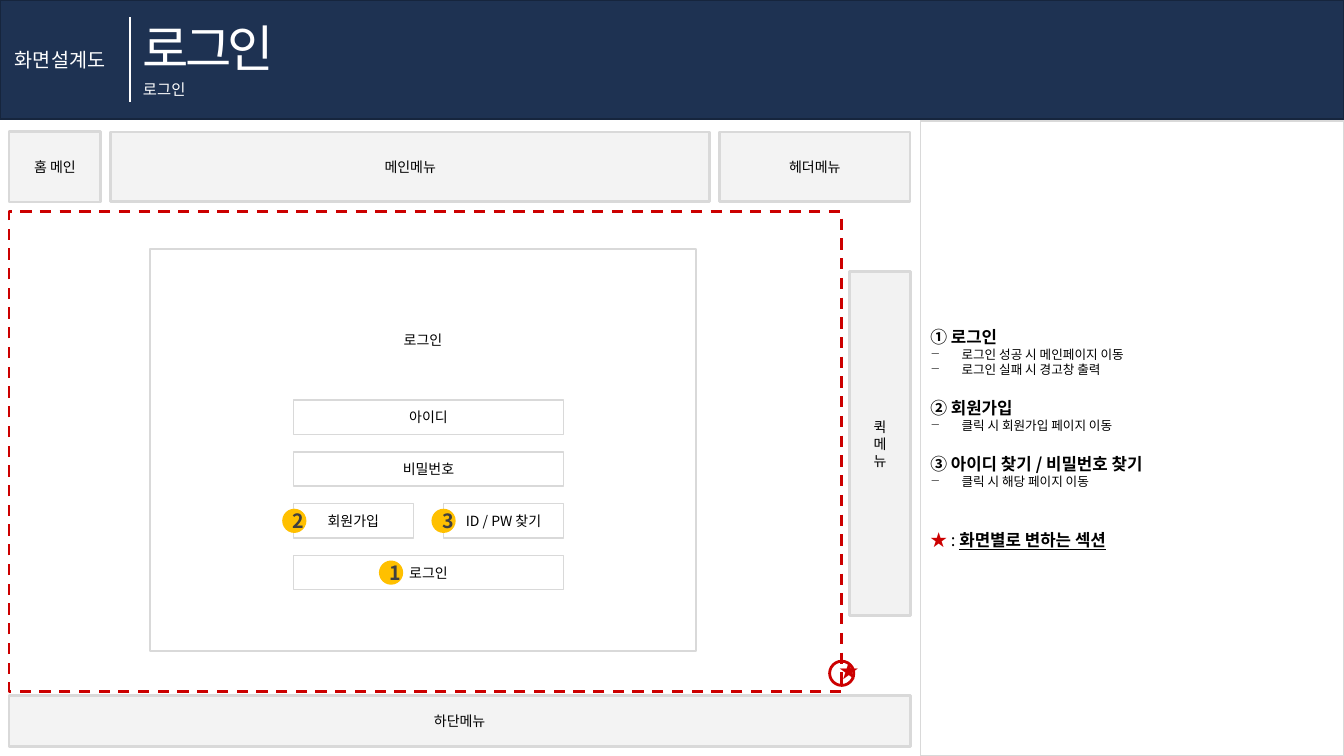
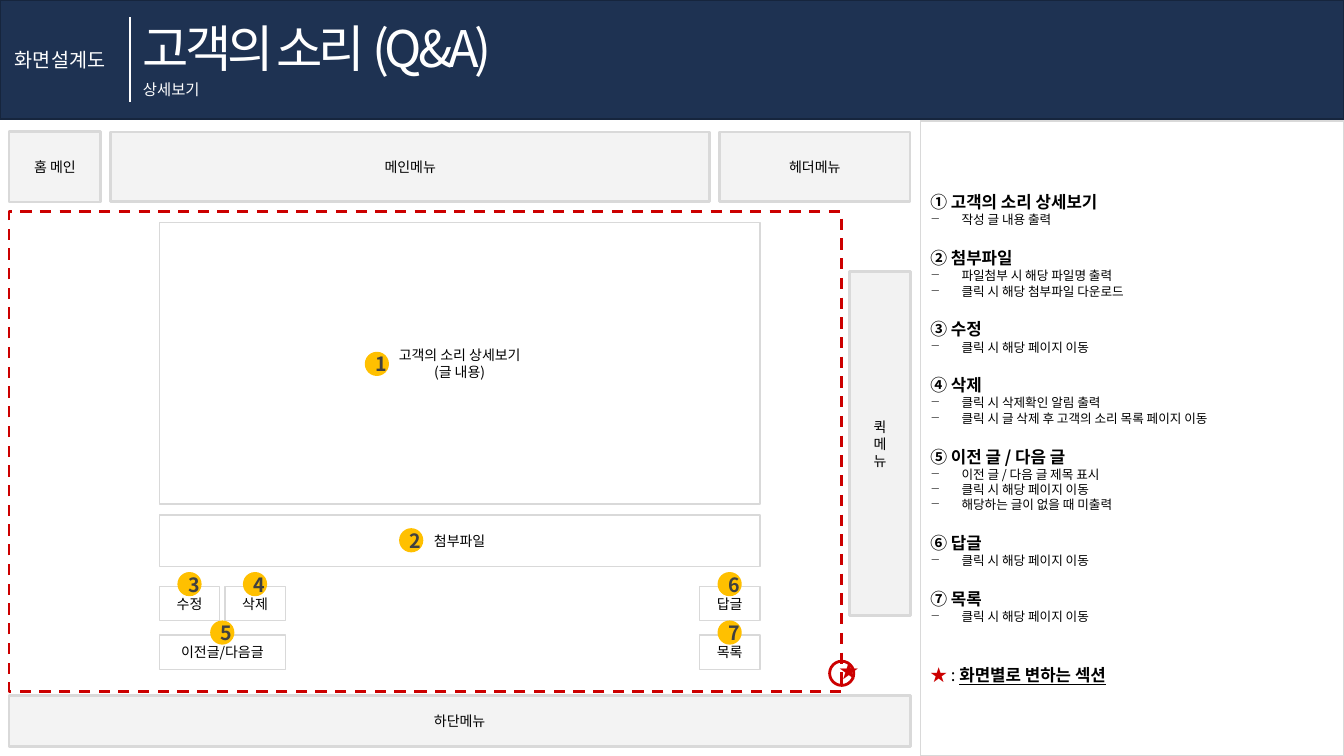
"""Build two wireframe slides: the login screen and the Q&A detail screen."""
from dataclasses import dataclass
from typing import Any, Optional

from lxml import etree
from pptx import Presentation
from pptx.dml.color import RGBColor
from pptx.enum.dml import MSO_LINE
from pptx.enum.shapes import MSO_CONNECTOR, MSO_SHAPE
from pptx.enum.text import MSO_ANCHOR, PP_ALIGN
from pptx.oxml.ns import qn
from pptx.util import Pt

RECTANGLE, ELLIPSE = MSO_SHAPE.RECTANGLE, MSO_SHAPE.OVAL
STRAIGHT, DASH = MSO_CONNECTOR.STRAIGHT, MSO_LINE.DASH
LEFT, CENTER, MIDDLE = PP_ALIGN.LEFT, PP_ALIGN.CENTER, MSO_ANCHOR.MIDDLE

NAVY, NAVY_EDGE = RGBColor(0x1E, 0x32, 0x52), RGBColor(0x16, 0x25, 0x3D)
WHITE, BLACK = RGBColor(0xFF, 0xFF, 0xFF), RGBColor(0, 0, 0)
SILVER, GREY = RGBColor(0xD9, 0xD9, 0xD9), RGBColor(0xBF, 0xBF, 0xBF)
CHARCOAL, AMBER = RGBColor(0x40, 0x40, 0x40), RGBColor(0xFF, 0xC0, 0x00)
RED = RGBColor(0xCC, 0, 0)

KOREAN, LATIN = "Noto Sans CJK KR", "Arial"
LINE_HEIGHT = 1.21
WIDTH, HEIGHT, HEADER_HEIGHT = 960, 540, 85
BADGE_SIZE = 17.3
NOTE_INDENT = 22.3
NOTE_GAP = 14.5

FIELD_LEFT, FIELD_TOP, FIELD_STEP = 209.5, 285.8, 37
FIELD_WIDTH, FIELD_HEIGHT, HALF_WIDTH = 193, 24.5, 85.7
FIELD_RIGHT_HALF = FIELD_LEFT + FIELD_WIDTH - HALF_WIDTH

POST_LEFT, POST_WIDTH = 113.8, 429
BUTTON_WIDTH, BUTTON_TOPS = 43.2, (419, 453.6)
BUTTON_RIGHT = POST_LEFT + POST_WIDTH - BUTTON_WIDTH


@dataclass(frozen=True)
class Area:
    left: float
    top: float
    width: float
    height: float


@dataclass(frozen=True)
class Look:
    fill: Optional[RGBColor] = WHITE
    line: Optional[RGBColor] = SILVER
    weight: float = 1
    opacity: int = 100


@dataclass(frozen=True)
class Panel:
    area: Area
    text: str
    look: Look = Look()
    badge: str = ""
    badge_left: float = 0
    badge_top: float = 0
    bottom_margin: float = 3.6


@dataclass(frozen=True)
class Note:
    heading: str
    items: tuple[str, ...]


@dataclass(frozen=True)
class Screen:
    title: str
    subtitle: str
    panels: tuple[Panel, ...]
    notes: tuple[Note, ...]


MENU = Look(SILVER, SILVER, 2, 30)
FRAME = (
    Panel(Area(79.2, 94.3, 427.7, 49.7), "메인메뉴", MENU),
    Panel(Area(6.5, 94, 65.5, 50.4), "홈 메인", MENU),
    Panel(Area(514, 94.3, 136, 49.7), "헤더메뉴", MENU),
    Panel(Area(607, 193.7, 43.2, 246.2), "퀵\n메\n뉴", Look(GREY, SILVER, 2, 20)),
    Panel(Area(6.5, 496.8, 643.7, 36.7), "하단메뉴", MENU),
)
SECTION = Area(6.5, 151.2, 594.7, 342.7)
NOTES = Area(657.4, 86.4, WIDTH - 657.4, HEIGHT - 86.4)
MARK = Area(592.6, 472.3, BADGE_SIZE, BADGE_SIZE)


def field(row: int, text: str, left: float = FIELD_LEFT, width: float = FIELD_WIDTH,
          badge: str = "", badge_left: float = -7.9) -> Panel:
    area = Area(left, FIELD_TOP + row * FIELD_STEP, width, FIELD_HEIGHT)
    return Panel(area, text, badge=badge, badge_left=badge_left, badge_top=3.6)


def button(row: int, text: str, badge: str, left: float, width: float = BUTTON_WIDTH) -> Panel:
    area = Area(left, BUTTON_TOPS[row], width, FIELD_HEIGHT)
    return Panel(area, text, badge=badge, badge_left=(width - BADGE_SIZE) / 2, badge_top=-10.4)


MOVE = "클릭 시 해당 페이지 이동"
SCREENS = (
    Screen(
        "로그인", "로그인",
        (
            Panel(Area(107, 177.8, 390.2, 287.3), "로그인", bottom_margin=161.5),
            field(0, "아이디"),
            field(1, "비밀번호"),
            field(2, "회원가입", width=HALF_WIDTH, badge="2"),
            field(2, "ID / PW 찾기", FIELD_RIGHT_HALF, HALF_WIDTH, "3", -8.6),
            field(3, "로그인", badge="1", badge_left=61.2),
        ),
        (
            Note("① 로그인", ("로그인 성공 시 메인페이지 이동", "로그인 실패 시 경고창 출력")),
            Note("② 회원가입", ("클릭 시 회원가입 페이지 이동",)),
            Note("③ 아이디 찾기 / 비밀번호 찾기", (MOVE,)),
        ),
    ),
    Screen(
        "고객의 소리 (Q&A)", "상세보기",
        (
            Panel(Area(POST_LEFT, 159.1, POST_WIDTH, 200.9), "고객의 소리 상세보기\n(글 내용)",
                  badge="1", badge_left=146.8, badge_top=92.2),
            Panel(Area(POST_LEFT, 367.9, POST_WIDTH, 36.7), "첨부파일",
                  badge="2", badge_left=171.3, badge_top=9.4),
            button(0, "수정", "3", POST_LEFT),
            button(0, "삭제", "4", POST_LEFT + 46.8),
            button(1, "이전글/다음글", "5", POST_LEFT, 90),
            button(1, "목록", "7", BUTTON_RIGHT),
            button(0, "답글", "6", BUTTON_RIGHT),
        ),
        (
            Note("① 고객의 소리 상세보기", ("작성 글 내용 출력",)),
            Note("② 첨부파일", ("파일첨부 시 해당 파일명 출력", "클릭 시 해당 첨부파일 다운로드")),
            Note("③ 수정", (MOVE,)),
            Note("④ 삭제", ("클릭 시 삭제확인 알림 출력",
                          "클릭 시 글 삭제 후 고객의 소리 목록 페이지 이동")),
            Note("⑤ 이전 글 / 다음 글", ("이전 글 / 다음 글 제목 표시", MOVE,
                                   "해당하는 글이 없을 때 미출력")),
            Note("⑥ 답글", (MOVE,)),
            Note("⑦ 목록", (MOVE,)),
        ),
    ),
)


def set_values(target: Any, values: dict[str, Any]) -> None:
    for name, value in values.items():
        setattr(target, name, value)


def bounds(area: Area) -> tuple[Pt, Pt, Pt, Pt]:
    return Pt(area.left), Pt(area.top), Pt(area.width), Pt(area.height)


def add_span(para: Any, text: str, size: float, color: RGBColor = BLACK,
             font: str = KOREAN, spacing: float = 0, **values: Any) -> None:
    span = para.add_run()
    span.text = text
    set_values(span.font, {"size": Pt(size), "name": font, **values})
    span.font.color.rgb = color
    properties = span._r.get_or_add_rPr()
    etree.SubElement(properties, qn("a:ea")).set("typeface", KOREAN)
    if spacing:
        properties.set("spc", str(round(spacing * 100)))


def add_para(frame: Any, size: float, align: Any = LEFT, before: float = 0) -> Any:
    first = frame.paragraphs[0]
    para = frame.add_paragraph() if first.runs else first
    set_values(para, {"alignment": align, "line_spacing": Pt(round(size * LINE_HEIGHT, 1)),
                      "space_before": Pt(before)})
    return para


def add_box(page: Any, area: Area, look: Look, kind: Any = RECTANGLE) -> Any:
    box = page.shapes.add_shape(kind, *bounds(area))
    box.shadow.inherit = False
    if look.fill is None:
        box.fill.background()
    else:
        box.fill.solid()
        box.fill.fore_color.rgb = look.fill
        if look.opacity < 100:
            color = box._element.spPr.find(qn("a:solidFill"))[0]
            etree.SubElement(color, qn("a:alpha")).set("val", str(look.opacity * 1000))
    if look.line is None:
        box.line.fill.background()
    else:
        box.line.color.rgb = look.line
        box.line.width = Pt(look.weight)
    set_values(box.text_frame, {"word_wrap": True, "vertical_anchor": MIDDLE})
    return box


def add_label(page: Any, area: Area, text: str, size: float, color: RGBColor,
              align: Any = LEFT, **values: Any) -> None:
    frame = page.shapes.add_textbox(*bounds(area)).text_frame
    set_values(frame, {"word_wrap": True, "vertical_anchor": MIDDLE})
    add_span(add_para(frame, size, align), text, size, color, **values)


def add_panel(page: Any, panel: Panel) -> None:
    frame = add_box(page, panel.area, panel.look).text_frame
    frame.margin_bottom = Pt(panel.bottom_margin)
    for line in panel.text.split("\n"):
        add_span(add_para(frame, 10, CENTER), line, 10)


def add_badge(page: Any, panel: Panel) -> None:
    area = Area(panel.area.left + panel.badge_left, panel.area.top + panel.badge_top,
                BADGE_SIZE, BADGE_SIZE)
    frame = add_box(page, area, Look(AMBER, None), ELLIPSE).text_frame
    add_span(add_para(frame, 14, CENTER), panel.badge, 14, CHARCOAL, bold=True)


def add_header(page: Any, screen: Screen) -> None:
    add_box(page, Area(0, 0, WIDTH, HEADER_HEIGHT), Look(NAVY, NAVY_EDGE))
    add_label(page, Area(95, 8, 400, 51), screen.title, 36, WHITE, spacing=-3)
    add_label(page, Area(3.6, 30.2, 88, 24.5), "화면설계도", 14, WHITE)
    add_label(page, Area(95, 53.3, 200, 21), screen.subtitle, 11, WHITE, font=LATIN)
    divider = page.shapes.add_connector(STRAIGHT, Pt(92.9), Pt(12.2), Pt(92.9), Pt(72.7))
    divider.line.color.rgb = WHITE
    divider.line.width = Pt(1.5)
    etree.SubElement(divider._element.spPr, qn("a:effectLst"))


def add_notes(page: Any, notes: tuple[Note, ...]) -> None:
    frame = add_box(page, NOTES, Look()).text_frame
    for index, note in enumerate(notes):
        heading = add_para(frame, 12, before=NOTE_GAP if index else 0)
        add_span(heading, note.heading, 12, bold=True)
        for item in note.items:
            para = add_para(frame, 9)
            properties = para._p.get_or_add_pPr()
            properties.set("marL", str(Pt(NOTE_INDENT)))
            properties.set("indent", str(-Pt(NOTE_INDENT)))
            etree.SubElement(properties, qn("a:buChar")).set("char", "−")
            add_span(para, item, 9)
    legend = add_para(frame, 12, before=2 * NOTE_GAP)
    add_span(legend, "★ ", 12, RED, bold=True)
    add_span(legend, ": ", 12)
    add_span(legend, "화면별로 변하는 섹션", 12, bold=True, underline=True)


def add_frame(page: Any) -> None:
    add_box(page, MARK, Look(WHITE, RED, 2), ELLIPSE)
    add_label(page, Area(MARK.left, 466.6, MARK.width, 24.5), "★", 14, RED, CENTER)
    for panel in FRAME:
        add_panel(page, panel)
    add_box(page, SECTION, Look(None, RED, 2)).line.dash_style = DASH


def add_screen(deck: Any, screen: Screen) -> None:
    page = deck.slides.add_slide(deck.slide_layouts[6])
    add_header(page, screen)
    for panel in screen.panels:
        add_panel(page, panel)
    for panel in screen.panels:
        if panel.badge:
            add_badge(page, panel)
    add_frame(page)
    add_notes(page, screen.notes)


def main() -> None:
    deck = Presentation()
    set_values(deck, {"slide_width": Pt(WIDTH), "slide_height": Pt(HEIGHT)})
    for screen in SCREENS:
        add_screen(deck, screen)
    deck.save("out.pptx")


if __name__ == "__main__":
    main()
